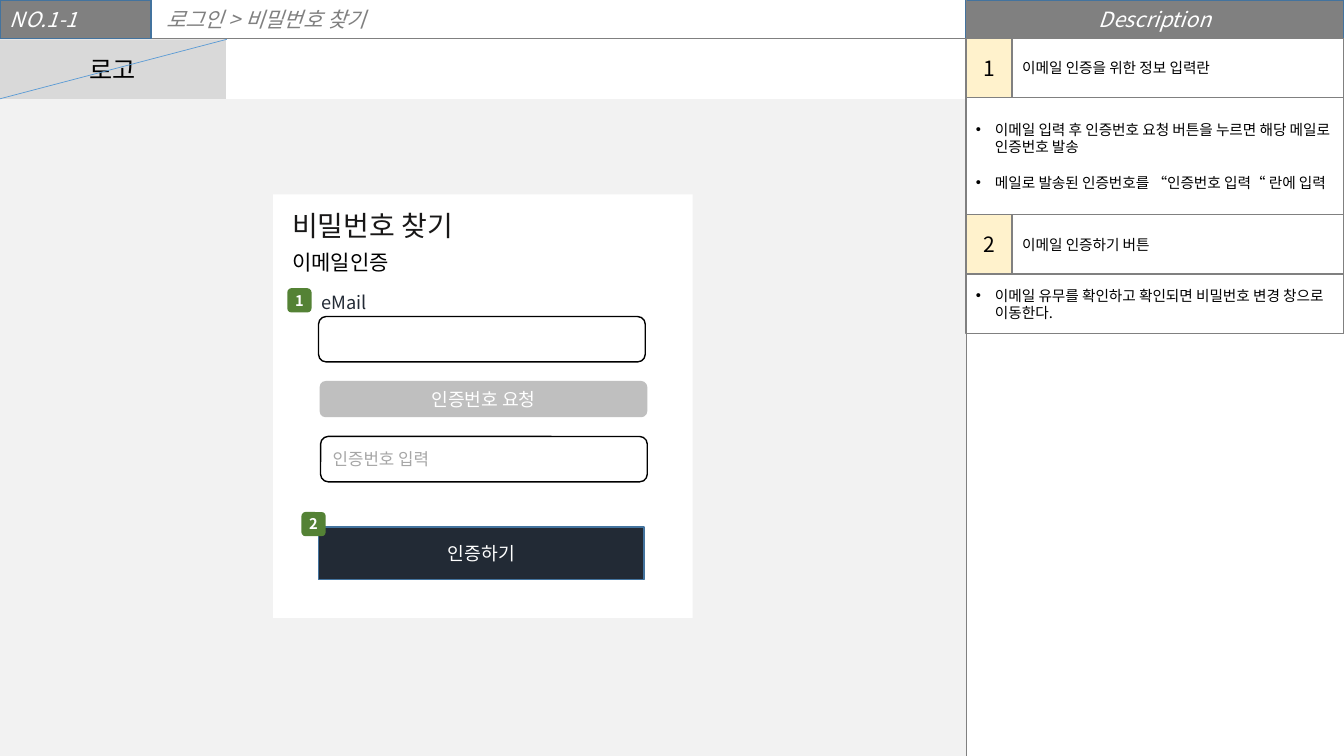
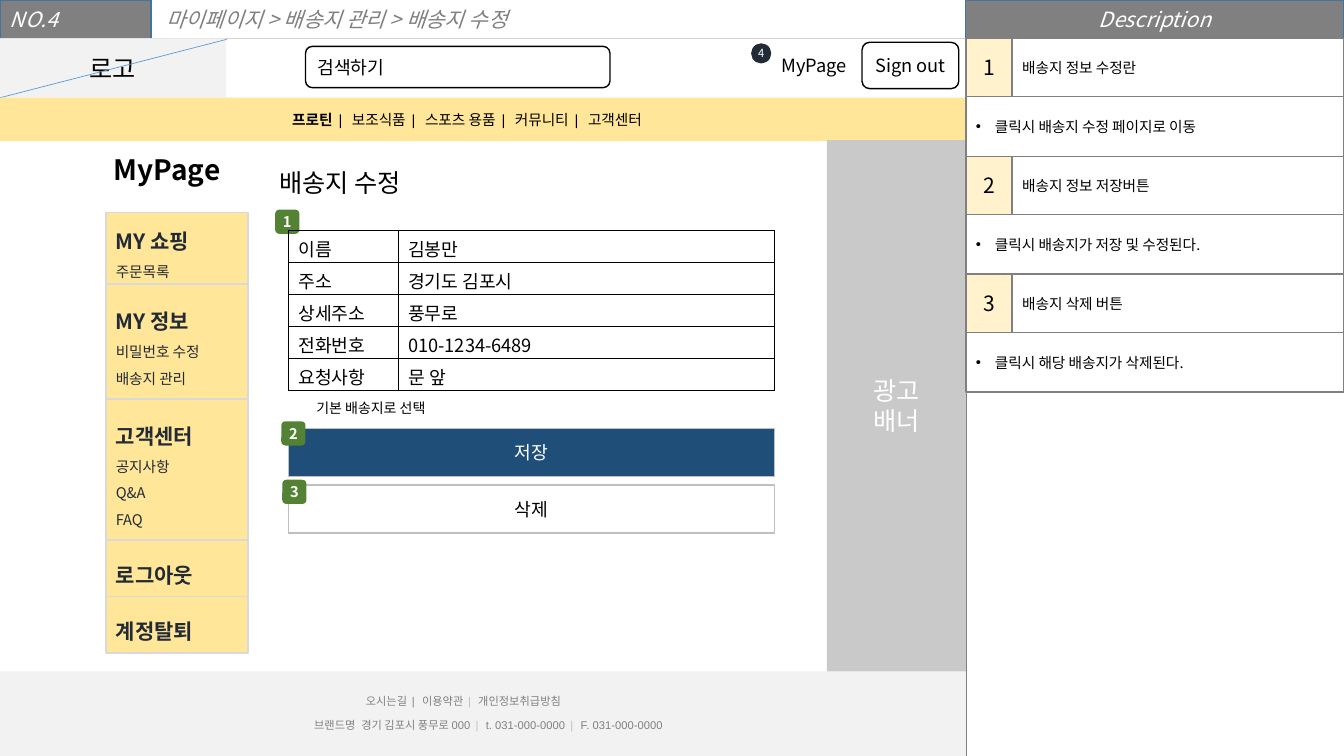
"""Build two wireframe slides of a shop: password recovery and address editing."""
from lxml.etree import SubElement
from pptx import Presentation
from pptx.dml.color import RGBColor
from pptx.enum.shapes import MSO_CONNECTOR, MSO_SHAPE as Shape
from pptx.enum.text import MSO_ANCHOR as Anchor, PP_ALIGN as Align
from pptx.oxml.ns import qn
from pptx.util import Emu, Pt

PX = 9144
WIDTH, HEIGHT = 1333, 750
PANEL_LEFT, BAND, TOP_BAR = 958, 38, 59
KOREAN, LATIN = "Noto Sans CJK KR", "Arial"

COLORS = {
    "white": "FFFFFF", "black": "000000", "ink": "181717", "navy": "222A35",
    "blue": "1F4E79", "edge": "43739E", "sky": "5B9BD5", "green": "548235",
    "gray": "808080", "hint": "A6A6A6", "silver": "BFBFBF", "banner": "C9C9C9",
    "light": "D9D9D9", "pale": "F2F2F2", "cream": "FFF2CC", "yellow": "FFE699",
}

TEXTS = {
    "band": dict(size=15, color="white", italic=True),
    "crumbs": dict(size=15, color="gray", italic=True),
    "logo": dict(size=18, color="black"),
    "banner": dict(size=18, color="white"),
    "note": dict(size=10.5, color="black"),
    "number": dict(size=15, color="black"),
    "badge": dict(size=10.5, color="white", bold=True),
    "count": dict(size=8, color="white"),
    "title": dict(size=20, color="ink"),
    "page": dict(size=20, color="black", bold=True),
    "label": dict(size=13, color="navy"),
    "field": dict(size=13, color="black"),
    "button": dict(size=13, color="white"),
    "hint": dict(size=12, color="hint"),
    "check": dict(size=10, color="black"),
    "group": dict(size=15, color="navy", bold=True),
    "entry": dict(size=10.5, color="navy"),
    "nav": dict(size=10.5, color="black", name=LATIN),
    "nav on": dict(size=10.5, color="black", name=LATIN, bold=True),
    "nav bar": dict(size=10.5, color="black", name=LATIN, tracking=195),
    "foot": dict(size=8, color="gray", name=LATIN),
    "foot gap": dict(size=8, color="gray", name=LATIN, tracking=222),
    "foot bar": dict(size=8, color="gray", name=LATIN, tracking=148),
    "foot pale bar": dict(size=8, color="silver", name=LATIN, tracking=148),
}

LOOKS = {
    "band": dict(fill="gray", line="edge", text="band"),
    "band center": dict(fill="gray", line="edge", text="band", align=Align.CENTER),
    "number": dict(fill="cream", line="gray", text="number", align=Align.CENTER),
    "note": dict(fill="white", line="gray", text="note"),
    "badge": dict(fill="green", text="badge", align=Align.CENTER,
                  outline=Shape.ROUNDED_RECTANGLE, inset=0),
    "count": dict(fill="navy", text="count", align=Align.CENTER, outline=Shape.OVAL, inset=0),
    "request": dict(fill="silver", text="button", align=Align.CENTER,
                    outline=Shape.ROUNDED_RECTANGLE),
    "confirm": dict(fill="navy", line="edge", text="button", align=Align.CENTER),
    "save": dict(fill="blue", line="silver", text="button", align=Align.CENTER),
    "delete": dict(line="silver", text="field", align=Align.CENTER),
    "input": dict(fill="white", line="black", text="hint", outline=Shape.ROUNDED_RECTANGLE),
    "search": dict(fill="white", line="black", text="field", outline=Shape.ROUNDED_RECTANGLE),
    "sign out": dict(fill="white", line="black", text="field", align=Align.CENTER,
                     outline=Shape.ROUNDED_RECTANGLE),
    "account": dict(text="field", align=Align.CENTER, outline=Shape.ROUNDED_RECTANGLE),
    "menu": dict(fill="yellow", line="light", text="entry", spacing=1.5),
    "banner": dict(fill="banner", text="banner", align=Align.CENTER),
}

RECOVERY = {
    "number": "NO.1-1",
    "crumbs": "로그인 > 비밀번호 찾기",
    "row": 59,
    "notes": [
        ("이메일 인증을 위한 정보 입력란", 116,
         ["이메일 입력 후 인증번호 요청 버튼을 누르면 해당 메일로 인증번호 발송",
          "메일로 발송된 인증번호를 “인증번호 입력“ 란에 입력"]),
        ("이메일 인증하기 버튼", 59,
         ["이메일 유무를 확인하고 확인되면 비밀번호 변경 창으로 이동한다."]),
    ],
    "parts": [
        ("input", (316, 314, 324, 45), []),
        ("confirm", (316, 523, 323, 52), ["인증하기"]),
        ("request", (317, 378, 325, 36), ["인증번호 요청"]),
        ("input", (318, 433, 324, 45), ["인증번호 입력"]),
    ],
    "badges": [(285, 286), (299, 508)],
}

ADDRESS = {
    "number": "NO.4",
    "crumbs": "마이페이지 > 배송지 관리 > 배송지 수정",
    "row": 58,
    "notes": [
        ("배송지 정보 수정란", 59, ["클릭시 배송지 수정 페이지로 이동"]),
        ("배송지 정보 저장버튼", 59, ["클릭시 배송지가 저장 및 수정된다."]),
        ("배송지 삭제 버튼", 59, ["클릭시 해당 배송지가 삭제된다."]),
    ],
    "parts": [
        ("search", (303, 46, 302, 41), ["검색하기"]),
        ("sign out", (855, 42, 96, 46), ["Sign out"]),
        ("account", (759, 42, 97, 46), ["MyPage"]),
        ("count", (745, 43, 20, 20), ["4"]),
        ("banner", (820, 139, 138, 527), ["광고", "배너"]),
        ("save", (286, 425, 482, 48), ["저장"]),
        ("delete", (286, 481, 482, 48), ["삭제"]),
    ],
    "badges": [(273, 208), (279, 418), (280, 476)],
}

NAVIGATION = ["프로틴", "보조식품", "스포츠 용품", "커뮤니티", "고객센터"]
MENU = [
    ("MY 쇼핑", 71, ["주문목록"]),
    ("MY 정보", 114, ["비밀번호 수정", "배송지 관리"]),
    ("고객센터", 140, ["공지사항", "Q&A", "FAQ"]),
    ("로그아웃", 56, []),
    ("계정탈퇴", 56, []),
]
RECIPIENT = [
    ("이름", "김봉만"),
    ("주소", "경기도 김포시"),
    ("상세주소", "풍무로"),
    ("전화번호", "010-1234-6489"),
    ("요청사항", "문 앞"),
]
LINKS = [("오시는길", "foot"), (" | ", "foot bar"), ("이용약관", "foot"),
         (" | ", "foot pale bar"), ("개인정보취급방침", "foot")]
CONTACT = [("브랜드명", "foot"), (" ", "foot gap"), ("경기 김포시 풍무로 000", "foot"),
           (" | ", "foot pale bar"), ("t. 031-000-0000", "foot"),
           (" | ", "foot pale bar"), ("F. 031-000-0000", "foot")]


def px(values):
    return [Emu(value * PX) for value in values]


def rgb(color):
    return RGBColor.from_string(COLORS[color])


def add_run(paragraph, words, text):
    run = paragraph.add_run()
    run.text = words
    values = {"name": KOREAN, **TEXTS[text]}
    run.font.color.rgb = rgb(values.pop("color"))
    tracking = values.pop("tracking", None)
    values["size"] = Pt(values["size"])
    for key, value in values.items():
        setattr(run.font, key, value)
    properties = run.font._element
    SubElement(properties, qn("a:ea"), typeface=KOREAN)
    if tracking:
        properties.set("spc", str(tracking))


def write(frame, lines, text, align=Align.LEFT, spacing=None, bullets=False):
    for index, line in enumerate(lines):
        paragraph = frame.paragraphs[0] if index == 0 else frame.add_paragraph()
        paragraph.alignment = align
        if spacing:
            paragraph.line_spacing = spacing
        if bullets:
            indent = 19 * PX
            properties = paragraph._p.get_or_add_pPr()
            properties.set("marL", str(indent))
            properties.set("indent", str(-indent))
            if index:
                paragraph.space_before = Pt(13)
            SubElement(properties, qn("a:buFont"), typeface=LATIN)
            SubElement(properties, qn("a:buChar"), char="•")
        for words, look in [(line, text)] if isinstance(line, str) else line:
            add_run(paragraph, words, look)


def add_box(slide, at, lines=(), fill=None, line=None, text="note",
            outline=Shape.RECTANGLE, inset=10, **layout):
    box = slide.shapes.add_shape(outline, *px(at))
    box.shadow.inherit = False
    if fill:
        box.fill.solid()
        box.fill.fore_color.rgb = rgb(fill)
    else:
        box.fill.background()
    if line:
        box.line.color.rgb = rgb(line)
        box.line.width = Pt(1)
    else:
        box.line.fill.background()
    frame = box.text_frame
    frame.word_wrap = True
    frame.vertical_anchor = Anchor.MIDDLE
    frame.margin_left = frame.margin_right = Emu(inset * PX)
    write(frame, lines, text, **layout)


def add_label(slide, at, lines, text, **layout):
    frame = slide.shapes.add_textbox(*px(at)).text_frame
    frame.word_wrap = True
    write(frame, lines, text, **layout)


def add_rule(slide, ends, color="gray"):
    rule = slide.shapes.add_connector(MSO_CONNECTOR.STRAIGHT, *px(ends))
    rule.line.color.rgb = rgb(color)
    rule.line.width = Pt(0.5)
    SubElement(rule._element.spPr, qn("a:effectLst"))


def add_header(slide, page):
    add_rule(slide, (0, BAND, WIDTH, BAND))
    add_box(slide, (PANEL_LEFT, 0, WIDTH - PANEL_LEFT, BAND), ["Description"],
            **LOOKS["band center"])
    add_rule(slide, (PANEL_LEFT, 0, PANEL_LEFT, HEIGHT))
    add_label(slide, (155, 2, 410, 35), [page["crumbs"]], "crumbs")
    add_box(slide, (0, 0, 150, BAND), [page["number"]], **LOOKS["band"])


def add_logo(slide, top, fill):
    add_box(slide, (0, top, PANEL_LEFT, TOP_BAR), fill="white")
    add_box(slide, (0, top, 224, TOP_BAR), ["로고"], fill=fill, text="logo", align=Align.CENTER)
    add_rule(slide, (0, top + TOP_BAR, 225, 39), "sky")


def add_parts(slide, page):
    for look, at, lines in page["parts"]:
        add_box(slide, at, lines, **LOOKS[look])
    for number, (left, top) in enumerate(page["badges"], 1):
        add_box(slide, (left, top, 24, 24), [str(number)], **LOOKS["badge"])


def add_notes_panel(slide, page):
    top, row, split = BAND, page["row"], PANEL_LEFT + 46
    for number, (heading, height, details) in enumerate(page["notes"], 1):
        add_box(slide, (split, top, WIDTH - split, row), [heading], **LOOKS["note"])
        add_box(slide, (PANEL_LEFT, top, 46, row), [str(number)], **LOOKS["number"])
        add_box(slide, (PANEL_LEFT, top + row, WIDTH - PANEL_LEFT, height), details,
                bullets=True, **LOOKS["note"])
        top += row + height


def add_menu(slide):
    top = 211
    for group, height, entries in MENU:
        add_box(slide, (105, top, 141, height), [[(group, "group")], *entries], **LOOKS["menu"])
        top += height


def add_recipient(slide):
    table = slide.shapes.add_table(len(RECIPIENT), 2, *px((286, 229, 482, 155))).table
    table.first_row = table.horz_banding = False
    for column, width in zip(table.columns, px((109, 373))):
        column.width = width
    for row, values in enumerate(RECIPIENT):
        for column, value in enumerate(values):
            cell = table.cell(row, column)
            write(cell.text_frame, [value], "field")
            properties = cell._tc.get_or_add_tcPr()
            for side in ("lnL", "lnR", "lnT", "lnB"):
                border = SubElement(properties, qn(f"a:{side}"), w=str(Pt(1)))
                paint = SubElement(border, qn("a:solidFill"))
                SubElement(paint, qn("a:srgbClr"), val=COLORS["black"])
            cell.fill.background()


def build_recovery(slide):
    add_header(slide, RECOVERY)
    add_box(slide, (0, 98, PANEL_LEFT, 652), fill="pale")
    add_logo(slide, 39, "light")
    add_box(slide, (271, 193, 416, 420), fill="white")
    add_label(slide, (280, 192, 253, 83),
              ["비밀번호 찾기", [("이메일인증", "number")]], "title", spacing=1.3)
    add_label(slide, (309, 284, 75, 32), ["eMail"], "label")
    add_parts(slide, RECOVERY)
    add_notes_panel(slide, RECOVERY)


def build_address(slide):
    add_header(slide, ADDRESS)
    add_logo(slide, 38, "pale")
    add_box(slide, (0, 97, PANEL_LEFT, 43), fill="yellow")
    items = [[(" | ", "nav bar"), (item, "nav")] for item in NAVIGATION[1:]]
    add_label(slide, (280, 105, 431, 28), [[(NAVIGATION[0], "nav on"), *sum(items, [])]], "nav")
    add_label(slide, (103, 146, 134, 44), ["MyPage"], "page")
    add_label(slide, (267, 161, 172, 40), ["배송지 수정"], "logo")
    add_box(slide, (0, 666, PANEL_LEFT, 84), fill="pale")
    add_label(slide, (353, 684, 285, 24), [LINKS], "foot")
    add_label(slide, (238, 708, 493, 24), [CONTACT], "foot", align=Align.CENTER)
    add_menu(slide)
    add_parts(slide, ADDRESS)
    add_recipient(slide)
    add_label(slide, (304, 391, 150, 27), ["기본 배송지로 선택"], "check")
    add_notes_panel(slide, ADDRESS)


def main():
    deck = Presentation()
    deck.slide_width, deck.slide_height = px((WIDTH, HEIGHT))
    for build in (build_recovery, build_address):
        build(deck.slides.add_slide(deck.slide_layouts[6]))
    deck.save("out.pptx")


if __name__ == "__main__":
    main()
